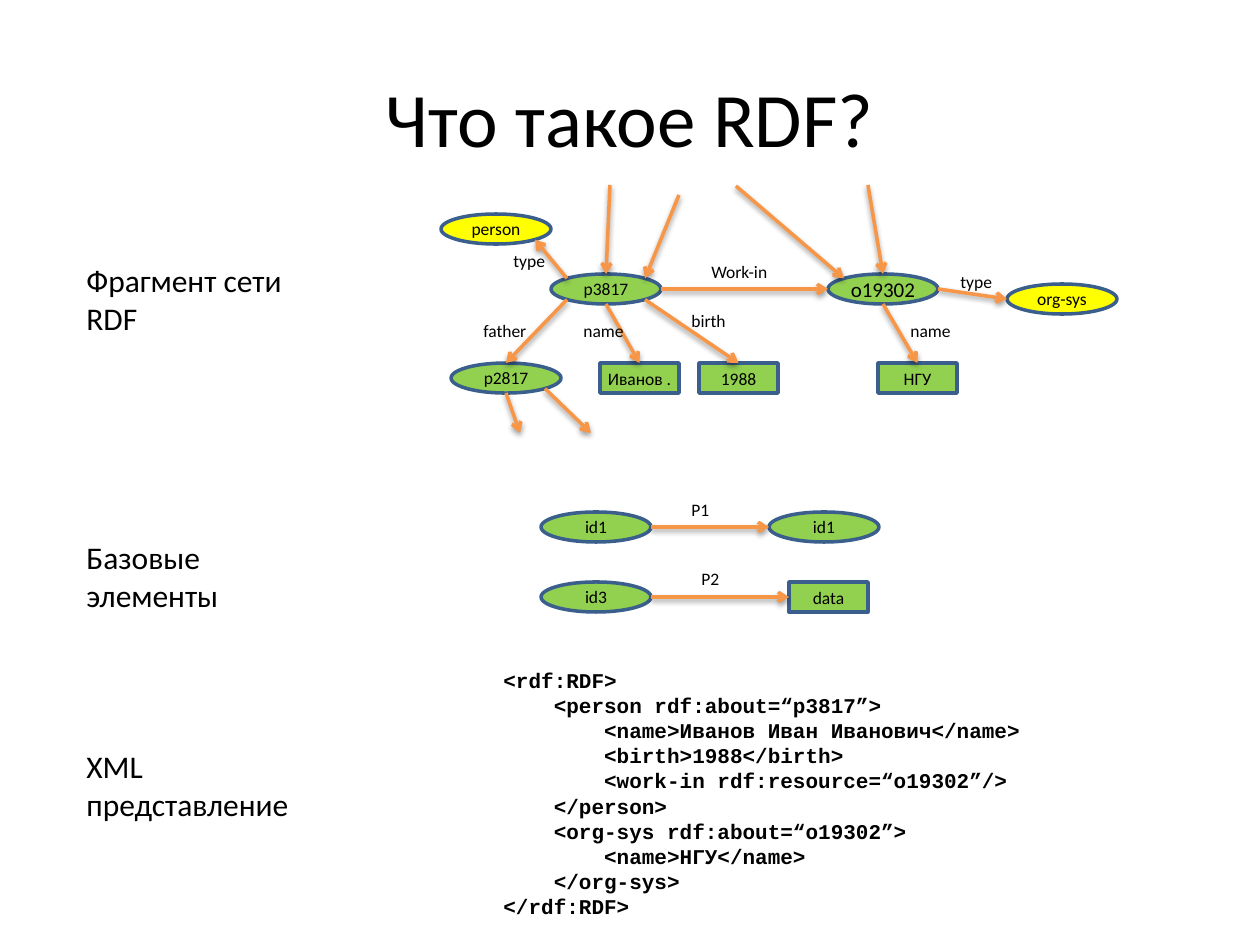
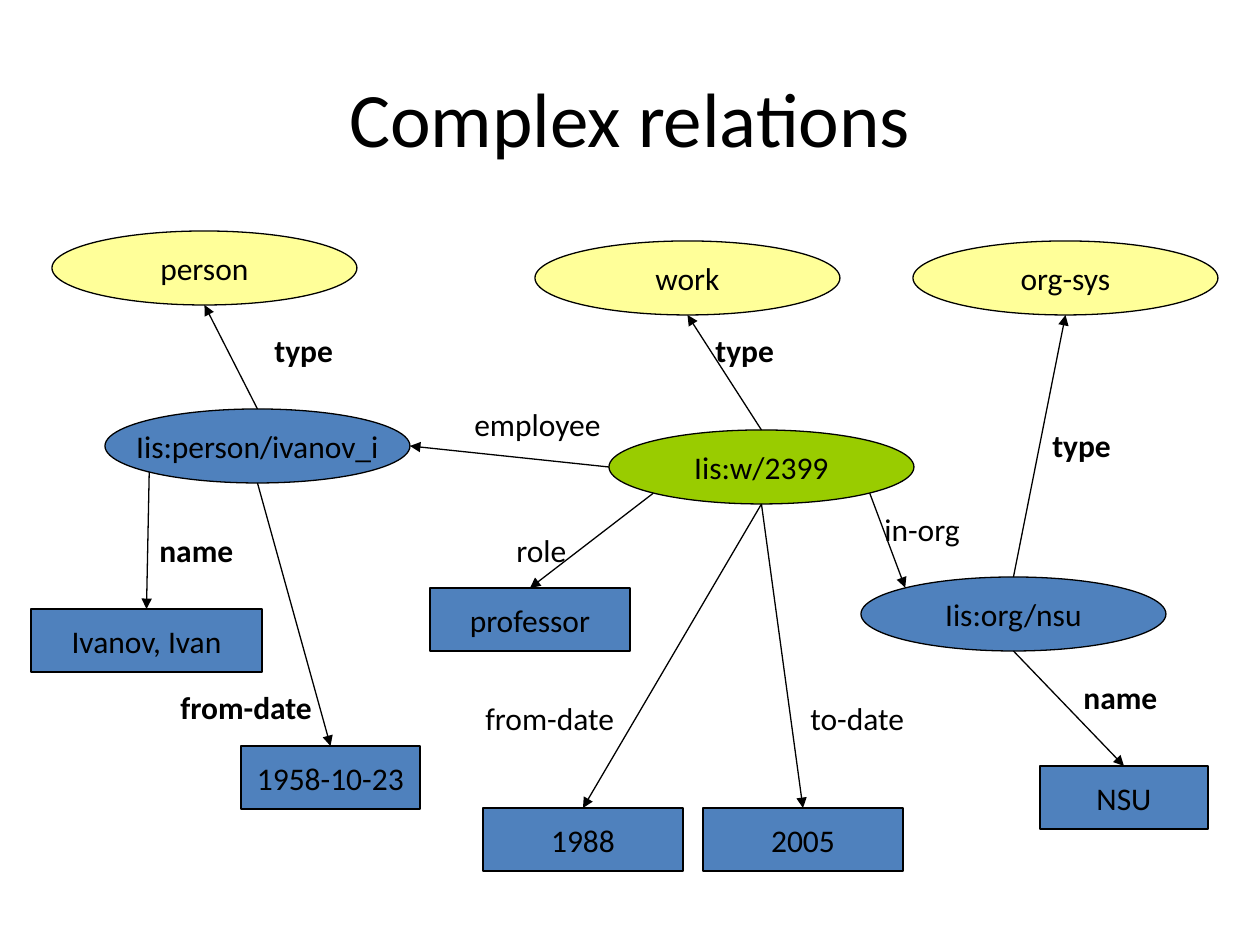
from lxml import etree
from pptx import Presentation
from pptx.dml.color import RGBColor
from pptx.enum.shapes import MSO_CONNECTOR, MSO_SHAPE
from pptx.enum.text import MSO_ANCHOR, PP_ALIGN
from pptx.oxml.ns import qn
from pptx.util import Pt

ELLIPSE, RECT = MSO_SHAPE.OVAL, MSO_SHAPE.RECTANGLE
STRAIGHT = MSO_CONNECTOR.STRAIGHT
TOP, MIDDLE = MSO_ANCHOR.TOP, MSO_ANCHOR.MIDDLE
LEFT, CENTER = PP_ALIGN.LEFT, PP_ALIGN.CENTER

EMU_PER_PX = 914400 / 126
PAGE_W, PAGE_H = 1260, 945
BLACK, NAVY, ORANGE = "000000", "3A5F8C", "F79646"
GREEN, YELLOW = "92D050", "FFFF00"
BLUE, PALE, LIME = "4F81BD", "FFFF99", "99CC00"

# Places on a node's outline, as steps from its centre in half sizes
SIDES = {"n": (0, -1), "s": (0, 1), "w": (-1, 0), "e": (1, 0),
         "nw": (-0.71, -0.71), "ne": (0.71, -0.71),
         "sw": (-0.71, 0.71), "se": (0.71, 0.71)}


def px(length):
    return round(length * EMU_PER_PX)


def color(value):
    return RGBColor.from_string(value)


def at(node, side):
    """Point on the outline of a node."""
    x, y, w, h = node
    dx, dy = SIDES[side]
    return x + w / 2 * (1 + dx), y + h / 2 * (1 + dy)


class Graph:
    """Draws one slide with a network of nodes and arrows."""

    def __init__(self, deck, title, size, outline, outline_width,
                 arrow, arrow_width, head, shadow=False):
        self.page = deck.slides.add_slide(deck.slide_layouts[6])
        self.size, self.outline, self.outline_width = size, outline, outline_width
        self.arrow, self.arrow_width = arrow, arrow_width
        self.head, self.shadow = head, shadow
        self.text(title, 63, 38, 1134, 158, size=44, align=CENTER, anchor=MIDDLE)

    def fill_text(self, frame, text, size, align, anchor, bold=False,
                  font="Calibri", spacing=None):
        frame.vertical_anchor = anchor
        for number, line in enumerate(text.split("\n")):
            para = frame.add_paragraph() if number else frame.paragraphs[0]
            para.text = line
            para.alignment = align
            para.line_spacing = spacing
            para.font.name, para.font.size = font, Pt(size)
            para.font.bold = bold
            para.font.color.rgb = color(BLACK)

    def text(self, text, x, y, w, h, size=None, align=LEFT, anchor=TOP, **style):
        box = self.page.shapes.add_textbox(px(x), px(y), px(w), px(h))
        box.text_frame.word_wrap = True
        self.fill_text(box.text_frame, text, size or self.size, align, anchor, **style)

    def node(self, text, kind, fill, x, y, w, h, size=None):
        shape = self.page.shapes.add_shape(kind, px(x), px(y), px(w), px(h))
        shape.shadow.inherit = False
        shape.fill.solid()
        shape.fill.fore_color.rgb = color(fill)
        shape.line.color.rgb = color(self.outline)
        shape.line.width = Pt(self.outline_width)
        frame = shape.text_frame
        frame.word_wrap = False
        frame.margin_left = frame.margin_right = 0
        frame.margin_top = frame.margin_bottom = 0
        self.fill_text(frame, text, size or self.size, CENTER, MIDDLE)
        return x, y, w, h

    def link(self, start, end):
        line = self.page.shapes.add_connector(
            STRAIGHT, *(px(value) for value in (*start, *end)))
        line.line.color.rgb = color(self.arrow)
        line.line.width = Pt(self.arrow_width)
        props = line.element.spPr
        etree.SubElement(props.find(qn("a:ln")), qn("a:tailEnd"), type=self.head)
        effects = etree.SubElement(props, qn("a:effectLst"))
        if self.shadow:
            cast = etree.SubElement(effects, qn("a:outerShdw"), blurRad="40000",
                                    dist="20000", dir="5400000", rotWithShape="0")
            tint = etree.SubElement(cast, qn("a:srgbClr"), val=BLACK)
            etree.SubElement(tint, qn("a:alpha"), val="38000")


RDF_CODE = """<rdf:RDF>
    <person rdf:about=“p3817”>
        <name>Иванов Иван Иванович</name>
        <birth>1988</birth>
        <work-in rdf:resource=“o19302”/>
    </person>
    <org-sys rdf:about=“o19302”>
        <name>НГУ</name>
    </org-sys>
</rdf:RDF>"""


def build_rdf(deck):
    graph = Graph(deck, "Что такое RDF?", 10, NAVY, 2, ORANGE, 2, "arrow", shadow=True)

    def entity(text, x, y, fill=GREEN, size=10):
        return graph.node(text, ELLIPSE, fill, x, y, 110, 30, size)

    def value(text, x, y):
        return graph.node(text, RECT, GREEN, x, y, 79, 30)

    # Network fragment
    person = entity("p3817", 551, 274)
    org = entity("o19302", 828, 274, size=12)
    father = entity("p2817", 451, 363)
    person_name = value("Иванов .", 600, 363)
    birth = value("1988", 699, 363)
    org_name = value("НГУ", 878, 363)
    org_type = entity("org-sys", 1007, 284, YELLOW)
    person_type = entity("person", 441, 214, YELLOW)

    # Basic elements
    subject = entity("id1", 541, 512)
    target = entity("id1", 769, 512)
    owner = entity("id3", 541, 582)
    data = value("data", 789, 582)

    for start, side, end, end_side in [
            (person, "e", org, "w"), (org, "e", org_type, "w"),
            (person, "nw", person_type, "se"), (person, "sw", father, "n"),
            (person, "s", person_name, "n"), (person, "se", birth, "n"),
            (org, "s", org_name, "n"),
            (subject, "e", target, "w"), (owner, "e", data, "w")]:
        graph.link(at(start, side), at(end, end_side))

    # Arrows to and from the rest of the network
    for start, node, side in [((610, 185), person, "n"), ((679, 195), person, "ne"),
                              ((736, 186), org, "nw"), ((868, 185), org, "n")]:
        graph.link(start, at(node, side))
    graph.link(at(father, "se"), (591, 433))
    graph.link(at(father, "s"), (520, 433))

    for label, x, y, w in [
            ("type", 501, 244, 59), ("type", 948, 265, 59), ("Work-in", 699, 255, 89),
            ("name", 898, 314, 69), ("name", 571, 314, 69), ("birth", 679, 304, 79),
            ("father", 471, 314, 79), ("P1", 679, 493, 69), ("P2", 689, 562, 69)]:
        graph.text(label, x, y, w, 34)

    # Row headings and code
    for heading, y, w in [("Фрагмент сети RDF", 255, 228),
                          ("Базовые элементы", 532, 238),
                          ("XML представление", 741, 248)]:
        graph.text(heading, 74, y, w, 90, size=18)
    graph.text(RDF_CODE, 491, 661, 625, 267, size=12, bold=True,
               font="Courier New", spacing=Pt(14.4))


def build_relations(deck):
    graph = Graph(deck, "Complex relations", 18, BLACK, 0.75, BLACK, 0.75, "triangle")

    def entity(text, x, y, fill):
        return graph.node(text, ELLIPSE, fill, x, y, 305, 74)

    def value(text, x, y, w=200):
        return graph.node(text, RECT, BLUE, x, y, w, 63)

    # Types, entities and values
    person_type = entity("person", 52, 231, PALE)
    work_type = entity("work", 535, 241, PALE)
    org_type = entity("org-sys", 913, 241, PALE)
    person = entity("Iis:person/ivanov_i", 105, 409, BLUE)
    work = entity("Iis:w/2399", 609, 430, LIME)
    org = entity("Iis:org/nsu", 861, 577, BLUE)
    person_name = value("Ivanov, Ivan", 31, 609, 231)
    born = value("1958-10-23", 241, 746, 179)
    role = value("professor", 430, 588)
    begun = value("1988", 483, 808)
    ended = value("2005", 703, 808)
    org_name = value("NSU", 1040, 766, 168)

    for start, side, end, end_side in [
            (person, "n", person_type, "s"), (person, "sw", person_name, "n"),
            (person, "s", born, "n"), (org, "s", org_name, "n"),
            (org, "n", org_type, "s"), (work, "n", work_type, "s"),
            (work, "w", person, "e"), (work, "se", org, "nw"),
            (work, "sw", role, "n"), (work, "s", begun, "n"),
            (work, "s", ended, "n")]:
        graph.link(at(start, side), at(end, end_side))

    # Relation names
    for label, x, y, w, bold in [
            ("type", 262, 325, 91, True), ("name", 147, 525, 107, True),
            ("from-date", 168, 682, 170, True), ("name", 1071, 672, 107, True),
            ("type", 1040, 420, 91, True), ("type", 703, 325, 91, True),
            ("role", 504, 525, 78, False), ("from-date", 473, 693, 160, False),
            ("to-date", 798, 693, 123, False), ("employee", 462, 399, 161, False),
            ("in-org", 872, 504, 106, False)]:
        graph.text(label, x, y, w, 50, bold=bold)


def main():
    deck = Presentation()
    deck.slide_width, deck.slide_height = px(PAGE_W), px(PAGE_H)
    build_rdf(deck)
    build_relations(deck)
    deck.save("out.pptx")


if __name__ == "__main__":
    main()
